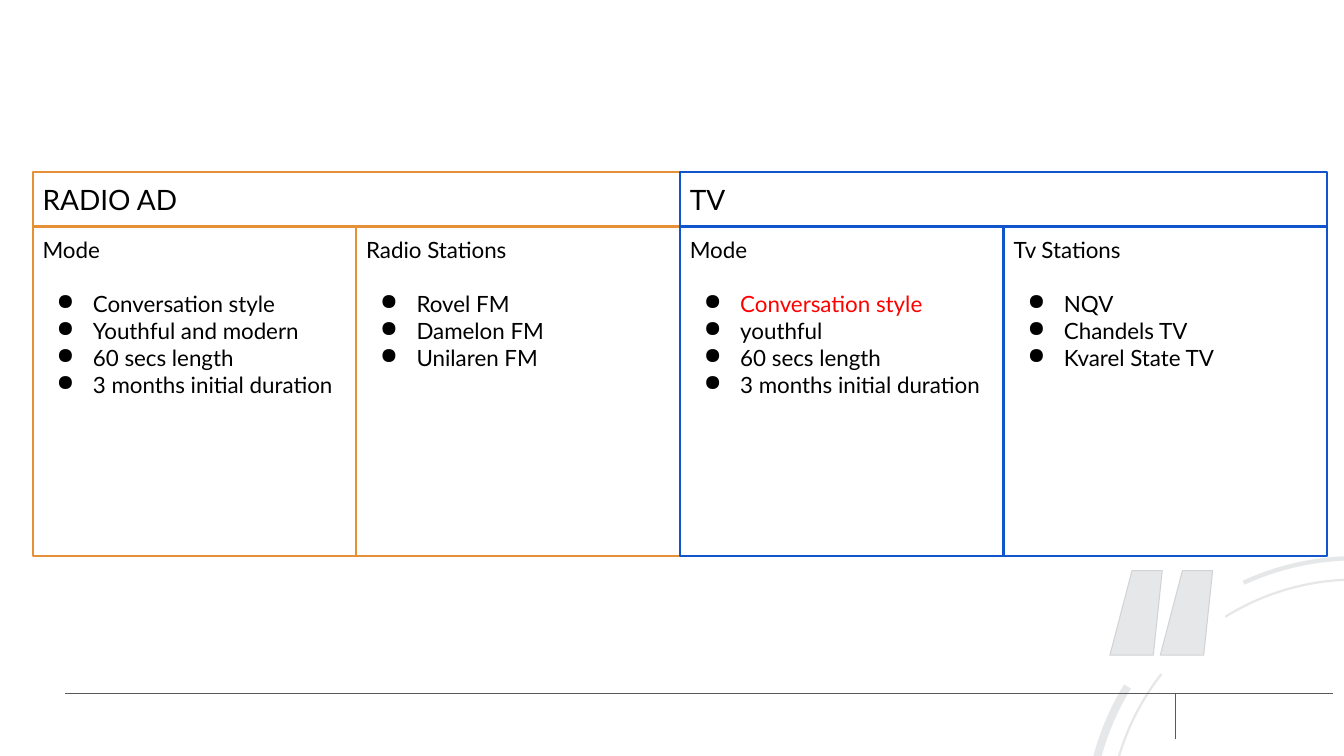
"""Build a slide comparing the radio and TV advertising plans."""
from math import cos, radians, sin

from lxml.etree import SubElement
from pptx import Presentation
from pptx.dml.color import RGBColor
from pptx.enum.shapes import MSO_CONNECTOR, MSO_SHAPE
from pptx.enum.text import MSO_ANCHOR, PP_ALIGN
from pptx.oxml.ns import qn
from pptx.util import Pt


def color(value):
    return RGBColor.from_string(value)


def add_panel(left, top, width, height, line_color, lines, size):
    shape = slide.shapes.add_shape(
        MSO_SHAPE.RECTANGLE, Pt(left), Pt(top), Pt(width), Pt(height))
    shape.shadow.inherit = False
    shape.fill.background()
    shape.line.color.rgb = color(line_color)
    shape.line.width = Pt(1.5)
    frame = shape.text_frame
    frame.word_wrap = True
    frame.vertical_anchor = MSO_ANCHOR.TOP
    frame.margin_left = frame.margin_right = Pt(7.2)
    frame.margin_top = frame.margin_bottom = Pt(7.2)
    frame.text = "\n".join(lines)
    for index, paragraph in enumerate(frame.paragraphs):
        paragraph.alignment = PP_ALIGN.LEFT
        if index > 0:
            properties = paragraph._p.get_or_add_pPr()
            properties.set("marL", str(Pt(36)))
            properties.set("indent", str(Pt(-26)))
            bullet_color = SubElement(properties, qn("a:buClr"))
            SubElement(bullet_color, qn("a:srgbClr")).set("val", "000000")
            SubElement(properties, qn("a:buChar")).set("char", "●")
        if index == 1:
            paragraph.space_before = Pt(19.2)
        paragraph.font.size = Pt(size)
        for run in paragraph.runs:
            run.font.name = "Lato"
            run.font.size = Pt(size)
            run.font.color.rgb = color("000000")
    return shape


presentation = Presentation()
presentation.slide_width = Pt(960)
presentation.slide_height = Pt(540)
slide = presentation.slides.add_slide(presentation.slide_layouts[6])

center_x, center_y = 968.3, 590.2
arcs = [
    (193.9, 188.2, 14.1, 31.5),
    (177, 175.4, 15.5, 38.1),
    (177, 175.4, 58.1, 88.2),
    (193, 189.9, 65.3, 88.3),
]
outlines = []
for outer, inner, start, end in arcs:
    angles = [radians(start + (end - start) * step / 30) for step in range(31)]
    edge = [(outer, angle) for angle in angles]
    edge += [(inner, angle) for angle in reversed(angles)]
    outlines.append(([(center_x - radius * cos(angle), center_y - radius * sin(angle))
                      for radius, angle in edge], None))
for shift in (0, 36):
    quote_mark = [(808.6, 407.6), (830.2, 407.6), (823.8, 468), (792.8, 468)]
    outlines.append(([(x + shift, y) for x, y in quote_mark], "D2D3D5"))

for points, line_color in outlines:
    corners = [(Pt(x), Pt(y)) for x, y in points]
    builder = slide.shapes.build_freeform(*corners[0], scale=1.0)
    builder.add_line_segments(corners[1:], close=True)
    shape = builder.convert_to_shape()
    shape.shadow.inherit = False
    shape.fill.solid()
    shape.fill.fore_color.rgb = color("E6E7E8")
    if line_color:
        shape.line.color.rgb = color(line_color)
        shape.line.width = Pt(0.75)
    else:
        shape.line.fill.background()

for ends in [(839.5, 495.4, 839.5, 528.2), (46.6, 495.4, 952, 495.4)]:
    connector = slide.shapes.add_connector(
        MSO_CONNECTOR.STRAIGHT, *[Pt(value) for value in ends])
    connector.line.color.rgb = color("595959")
    connector.line.width = Pt(0.75)
    SubElement(connector._element.spPr, qn("a:effectLst"))

media = [
    ("RADIO AD", "E69138", [
        ["Mode", "Conversation style", "Youthful and modern",
         "60 secs length", "3 months initial duration"],
        ["Radio Stations", "Rovel FM", "Damelon FM", "Unilaren FM"],
    ]),
    ("TV", "1155CC", [
        ["Mode", "Conversation style", "youthful",
         "60 secs length", "3 months initial duration"],
        ["Tv Stations", "NQV", "Chandels TV", "Kvarel State TV"],
    ]),
]
left, header_top, body_top = 23.3, 123, 161.8
column_width, body_height = 231.2, 235.4
for medium, (heading, line_color, columns) in enumerate(media):
    medium_left = left + medium * 2 * column_width
    add_panel(medium_left, header_top, 2 * column_width, body_top - header_top,
              line_color, [heading], 20)
    for column, lines in enumerate(columns):
        panel = add_panel(medium_left + column * column_width, body_top,
                          column_width, body_height, line_color, lines, 16)
        if heading == "TV" and column == 0:
            style_run = panel.text_frame.paragraphs[1].runs[0]
            style_run.font.color.rgb = color("FF0000")

presentation.save("out.pptx")
